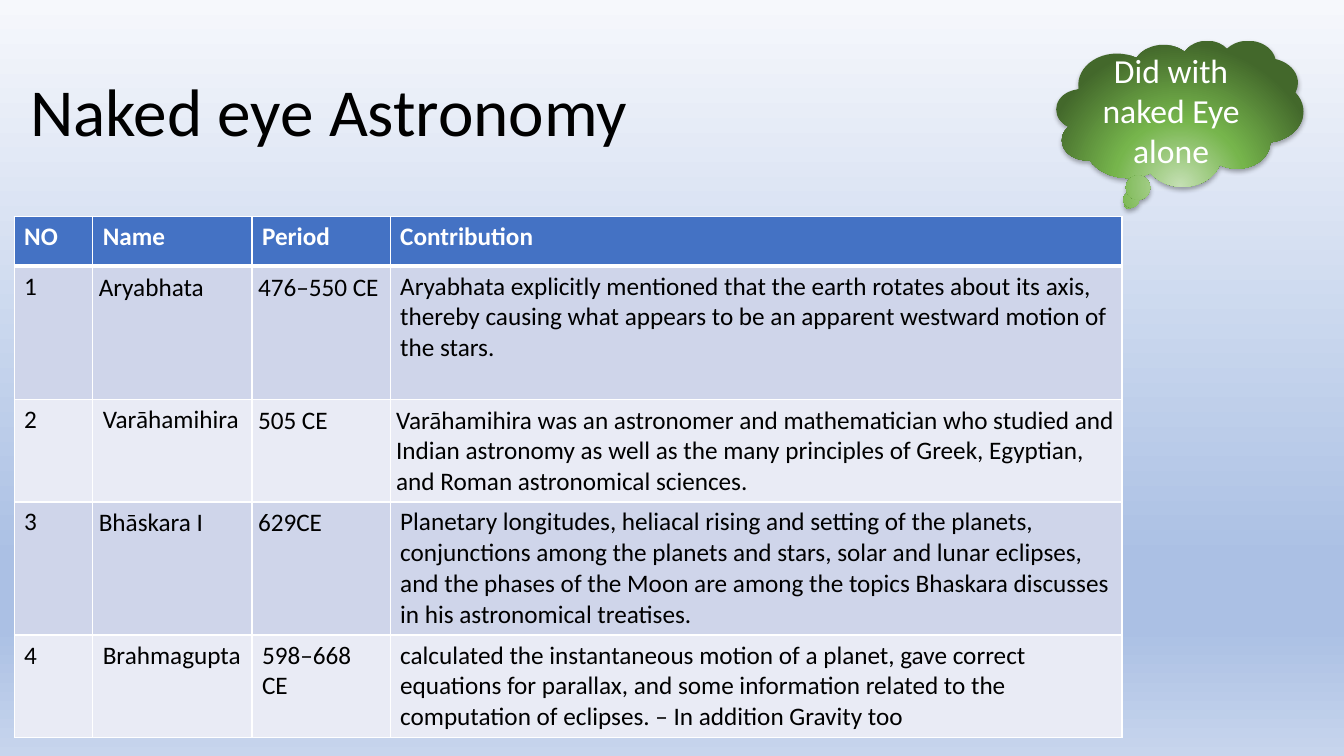
"""Build a slide that tabulates the pioneers of naked eye astronomy."""
from dataclasses import dataclass

from pptx import Presentation, util as u
from pptx.dml.color import RGBColor
from pptx.enum import shapes, text
from pptx.oxml import parse_xml
from pptx.oxml.ns import nsdecls, qn

WIDTH, HEIGHT = u.Inches(13.33), u.Inches(7.5)


@dataclass(frozen=True)
class Theme:
    font: str = "Calibri"
    title_size: int = 48
    callout_size: int = 24
    table_size: int = 18
    ink: str = "000000"
    paper: str = "FFFFFF"
    header: str = "4472C4"
    bands: tuple = ("CFD5EA", "E9EBF5")
    sky: tuple = ((0, "F6F8FC"), (74, "ABC0E4"), (83, "ABC0E4"), (100, "C7D5ED"))
    leaf: tuple = ((0, "C5E0B4"), (46, "76B54C"), (100, "43682B"))


@dataclass(frozen=True)
class Box:
    """Position and size in percent of the slide."""
    x: float
    y: float
    w: float
    h: float

    def place(self) -> tuple:
        return across(self.x), down(self.y), across(self.w), down(self.h)


@dataclass(frozen=True)
class Entry:
    """One table row; tight lists the columns with narrow margins."""
    height: float
    cells: tuple
    tight: tuple = ()


THEME = Theme()
TITLE_BOX = Box(1.5, 5.47, 69.84, 19.33)
CALLOUT_BOX = Box(78.6, 5.33, 18.38, 19.33)
TABLE_BOX = Box(1.05, 28.67, 82.43, 68.93)
COLUMNS = (5.85, 11.85, 10.28, 54.45)
ENTRIES = (
    Entry(6.53, ("NO", "Name", "Period", "Contribution")),
    Entry(17.6, ("1", "Aryabhata", "476–550 CE",
                 "Aryabhata explicitly mentioned that the earth rotates about its axis, "
                 "thereby causing what appears to be an apparent westward motion of the stars."),
          (1, 2)),
    Entry(13.6, ("2", "Varāhamihira", "505 CE",
                 "Varāhamihira was an astronomer and mathematician who studied and Indian "
                 "astronomy as well as the many principles of Greek, Egyptian, and Roman "
                 "astronomical sciences."),
          (2, 3)),
    Entry(17.6, ("3", "Bhāskara I", "629CE",
                 "Planetary longitudes, heliacal rising and setting of the planets, conjunctions "
                 "among the planets and stars, solar and lunar eclipses, and the phases of the Moon "
                 "are among the topics Bhaskara discusses in his astronomical treatises."),
          (1, 2)),
    Entry(13.6, ("4", "Brahmagupta", "598–668 CE",
                 "calculated the instantaneous motion of a planet, gave correct equations for "
                 "parallax, and some information related to the computation of eclipses. "
                 "– In addition Gravity too")),
)


def across(share: float) -> int:
    return round(WIDTH * share / 100)


def down(share: float) -> int:
    return round(HEIGHT * share / 100)


def write(tf, words: str, size: int, color: str, bold: bool = False):
    p = tf.paragraphs[0]
    r = p.add_run()
    r.text = words
    r.font.name, r.font.size, r.font.bold = THEME.font, u.Pt(size), bold
    r.font.color.rgb = RGBColor.from_string(color)
    return p


def shade(owner, fill, stops: tuple, direction: str) -> None:
    fill.gradient()
    grad = owner.element.find(".//" + qn("a:gradFill"))
    for child in list(grad):
        grad.remove(child)
    marks = "".join(f'<a:gs pos="{at * 1000}"><a:srgbClr val="{color}"/></a:gs>'
                    for at, color in stops)
    parts = parse_xml(f'<a:gradFill {nsdecls("a")}><a:gsLst>{marks}</a:gsLst>{direction}</a:gradFill>')
    grad.extend(list(parts))


def rule_cell(cell, top: int, bottom: int) -> None:
    props = cell._tc.get_or_add_tcPr()
    for i, (side, width) in enumerate((("L", 1), ("R", 1), ("T", top), ("B", bottom))):
        props.insert(i, parse_xml(
            f'<a:ln{side} {nsdecls("a")} w="{u.Pt(width)}"><a:solidFill>'
            f'<a:srgbClr val="{THEME.paper}"/></a:solidFill></a:ln{side}>'))


def add_title(s) -> None:
    tf = s.shapes.add_textbox(*TITLE_BOX.place()).text_frame
    tf.word_wrap = True
    tf.vertical_anchor = text.MSO_ANCHOR.MIDDLE
    write(tf, "Naked eye Astronomy", THEME.title_size, THEME.ink).line_spacing = 0.9


def add_contributions(s) -> None:
    table = s.shapes.add_table(len(ENTRIES), len(COLUMNS), *TABLE_BOX.place()).table
    for column, share in zip(table.columns, COLUMNS):
        column.width = across(share)
    for i, entry in enumerate(ENTRIES):
        table.rows[i].height = down(entry.height)
        head = i == 0
        fill = THEME.header if head else THEME.bands[(i - 1) % 2]
        for j, words in enumerate(entry.cells):
            cell = table.cell(i, j)
            cell.fill.solid()
            cell.fill.fore_color.rgb = RGBColor.from_string(fill)
            if j in entry.tight:
                cell.margin_left = cell.margin_right = u.Inches(0.06)
                cell.margin_top = cell.margin_bottom = u.Inches(0.06)
            rule_cell(cell, 3 if i == 1 else 1, 3 if head else 1)
            write(cell.text_frame, words, THEME.table_size,
                  THEME.paper if head else THEME.ink, head)


def add_callout(s) -> None:
    sp = s.shapes.add_shape(shapes.MSO_SHAPE.CLOUD_CALLOUT, *CALLOUT_BOX.place())
    shade(sp, sp.fill, THEME.leaf,
          '<a:path path="circle"><a:fillToRect l="50000" t="130000" r="50000" b="-30000"/></a:path>')
    sp.line.fill.background()
    sp.shadow.inherit = False
    sp.element.spPr.find(qn("a:effectLst")).append(parse_xml(
        f'<a:outerShdw {nsdecls("a")} blurRad="{u.Pt(3.5)}" dist="{u.Pt(2.2)}" dir="5400000" '
        f'algn="ctr" rotWithShape="0"><a:srgbClr val="{THEME.ink}"><a:alpha val="32000"/>'
        '</a:srgbClr></a:outerShdw>'))
    tf = sp.text_frame
    tf.word_wrap = True
    tf.vertical_anchor = text.MSO_ANCHOR.MIDDLE
    p = write(tf, "Did with naked Eye alone", THEME.callout_size, THEME.paper)
    p.alignment = text.PP_ALIGN.CENTER


def main() -> None:
    prs = Presentation()
    prs.slide_width, prs.slide_height = WIDTH, HEIGHT
    s = prs.slides.add_slide(prs.slide_layouts[6])
    shade(s, s.background.fill, THEME.sky, '<a:lin ang="5400000" scaled="0"/>')
    add_title(s)
    add_contributions(s)
    add_callout(s)
    prs.save("out.pptx")


if __name__ == "__main__":
    main()
